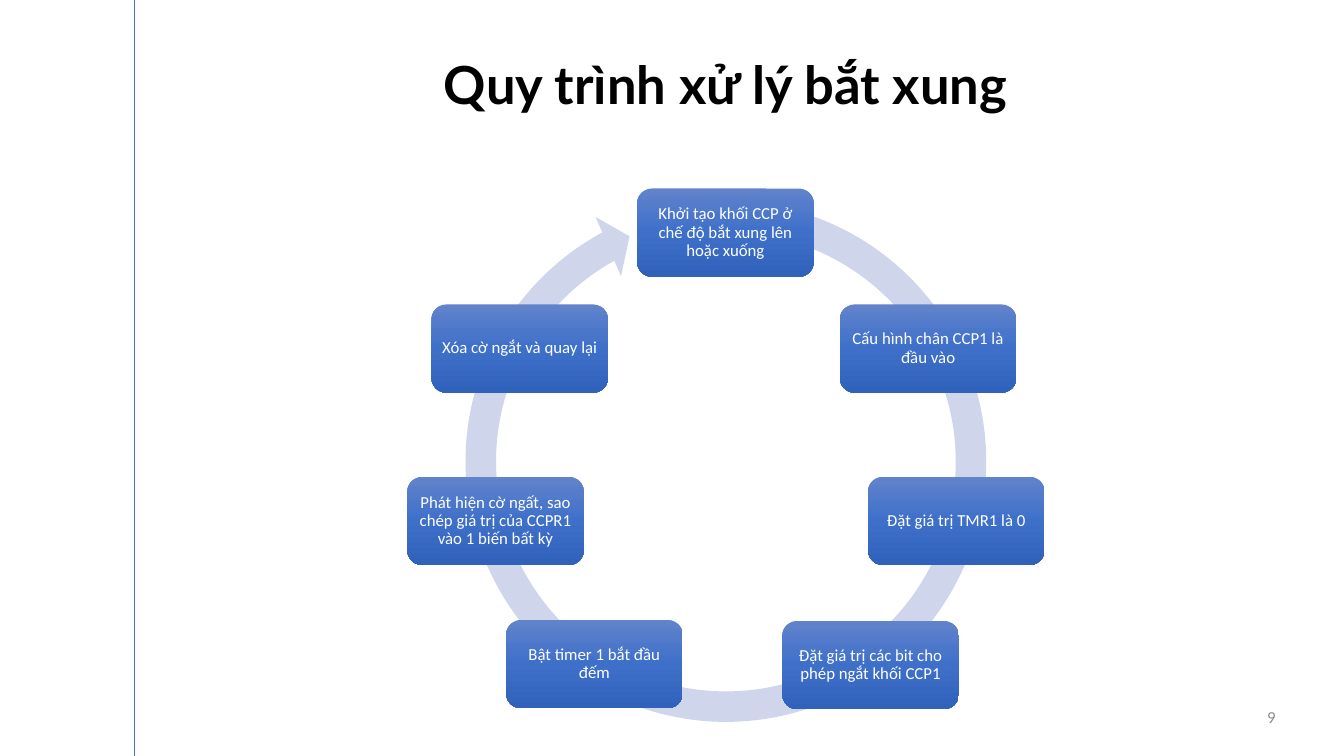
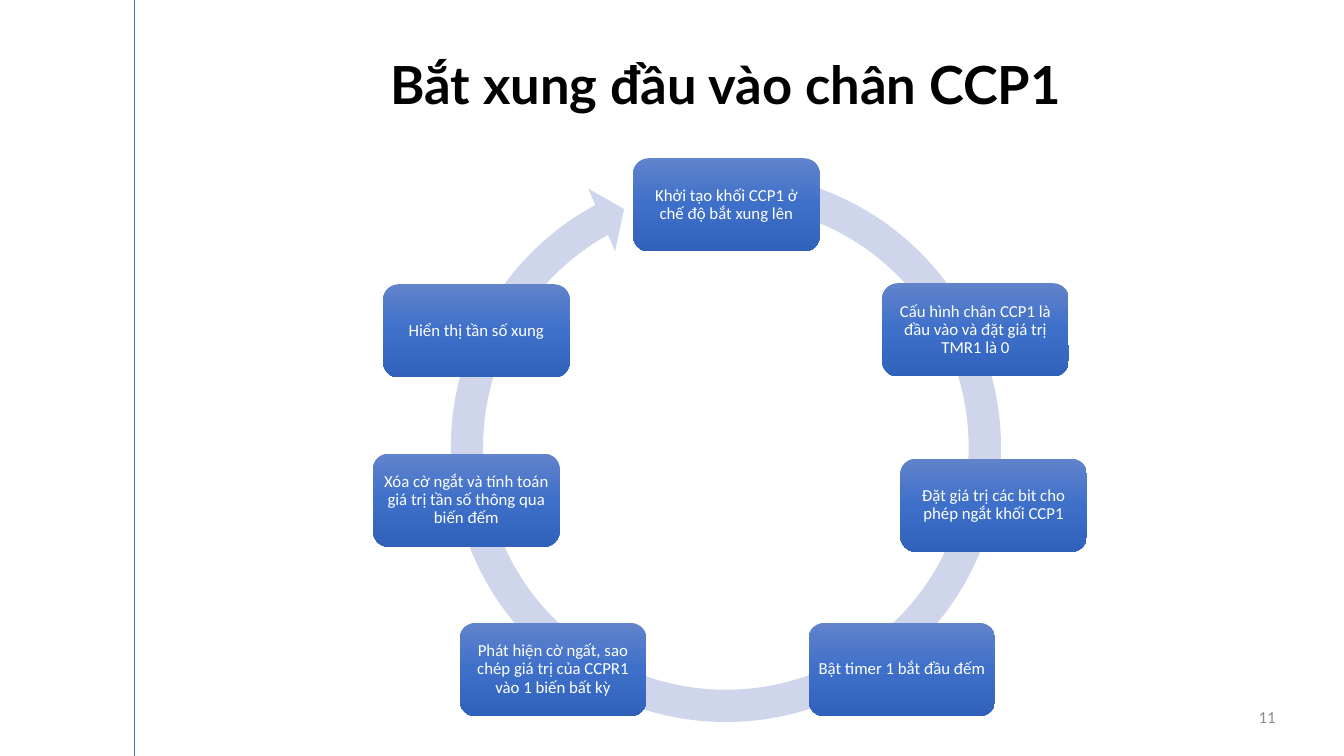
from copy import deepcopy
from pptx import Presentation
from pptx.dml.color import RGBColor
from pptx.enum.shapes import MSO_CONNECTOR, MSO_SHAPE
from pptx.enum.text import MSO_ANCHOR as ANCHOR, MSO_AUTO_SIZE, PP_ALIGN as ALIGN
from pptx.oxml.ns import qn
from pptx.util import Inches, Pt

# Shared style
BLACK, WHITE, GREY = "000000", "FFFFFF", "8C8C8C"
RULE, RING = "4472C4", "CFD5EA"
STEP_STOPS = [(0, "6183CB"), (0.5, "3E70CA"), (1, "3062BB")]
RING_ADJUST = [0.055, 3.31, 144.8, 169.7, 0.058]
RING_CENTER_X = 7.2

# One cycle per slide; each step is (left, top, text)
slides = [
    dict(title="Quy trình xử lý bắt xung", number="9",
         ring_top=1.83, ring_size=5.5, step_width=1.75, steps=[
             (6.32, 1.87, "Khởi tạo khối CCP ở chế độ bắt xung lên hoặc xuống"),
             (8.33, 3.02, "Cấu hình chân CCP1 là đầu vào"),
             (8.61, 4.73, "Đặt giá trị TMR1 là 0"),
             (7.76, 6.16, "Đặt giá trị các bit cho phép ngắt khối CCP1"),
             (5.02, 6.15, "Bật timer 1 bắt đầu đếm"),
             (4.04, 4.73, "Phát hiện cờ ngất, sao chép giá trị của CCPR1 vào 1 biến bất kỳ"),
             (4.28, 3.02, "Xóa cờ ngắt và quay lại")]),
    dict(title="Bắt xung đầu vào chân CCP1", number="11",
         ring_top=1.53, ring_size=5.81, step_width=1.85, steps=[
             (6.28, 1.57, "Khởi tạo khối CCP1 ở chế độ bắt xung lên"),
             (8.75, 2.81, "Cấu hình chân CCP1 là đầu vào và đặt giá trị TMR1 là 0"),
             (8.93, 4.55, "Đặt giá trị các bit cho phép ngắt khối CCP1"),
             (8.02, 6.18, "Bật timer 1 bắt đầu đếm"),
             (4.56, 6.18, "Phát hiện cờ ngất, sao chép giá trị của CCPR1 vào 1 biến bất kỳ"),
             (3.7, 4.5, "Xóa cờ ngắt và tính toán giá trị tần số thông qua biến đếm"),
             (3.8, 2.82, "Hiển thị tần số xung")]),
]


def rgb(color):
    return RGBColor.from_string(color)


def write(sp, text, size, color, align, anchor, font="Calibri", bold=False, spacing=1.0):
    tf = sp.text_frame
    tf.word_wrap = True
    tf.auto_size = MSO_AUTO_SIZE.NONE
    tf.vertical_anchor = anchor
    p = tf.paragraphs[0]
    p.alignment = align
    p.line_spacing = spacing
    r = p.add_run()
    r.text = text
    r.font.name, r.font.size, r.font.bold = font, Pt(size), bold
    r.font.color.rgb = rgb(color)


prs = Presentation()
prs.slide_width, prs.slide_height = Inches(13.33), Inches(7.5)

for cycle in slides:
    s = prs.slides.add_slide(prs.slide_layouts[5])

    # Vertical rule
    rule = s.shapes.add_connector(MSO_CONNECTOR.STRAIGHT, Inches(1.33), 0,
                                  Inches(1.33), prs.slide_height)
    rule.line.color.rgb = rgb(RULE)
    rule.line.width = Pt(0.5)
    rule._element.spPr.append(rule._element.makeelement(qn("a:effectLst"), {}))

    # Title and slide number
    title = s.shapes.title
    title.left, title.top = Inches(1.07), Inches(0.64)
    title.width, title.height = Inches(12.26), Inches(0.59)
    write(title, cycle["title"], 37.5, BLACK, ALIGN.CENTER, ANCHOR.TOP,
          font="Lato", bold=True, spacing=0.7)
    number = s.shapes.add_textbox(Inches(12.31), Inches(6.91), Inches(0.44), Inches(0.4))
    write(number, cycle["number"], 12, GREY, ALIGN.RIGHT, ANCHOR.MIDDLE)

    # Ring arrow
    size = cycle["ring_size"]
    ring = s.shapes.add_shape(MSO_SHAPE.CIRCULAR_ARROW, Inches(RING_CENTER_X - size / 2),
                              Inches(cycle["ring_top"]), Inches(size), Inches(size))
    for i, value in enumerate(RING_ADJUST):
        ring.adjustments[i] = value
    ring.shadow.inherit = False
    ring.fill.solid()
    ring.fill.fore_color.rgb = rgb(RING)
    ring.line.fill.background()

    # Steps, twice as wide as high
    width = cycle["step_width"]
    for left, top, text in cycle["steps"]:
        step = s.shapes.add_shape(MSO_SHAPE.ROUNDED_RECTANGLE, Inches(left), Inches(top),
                                  Inches(width), Inches(width / 2))
        step.shadow.inherit = False
        step.line.fill.background()
        step.fill.gradient()
        step.fill.gradient_angle = 270
        stop_list = step._element.spPr.find(".//" + qn("a:gsLst"))
        stop_list.append(deepcopy(stop_list[0]))
        for stop, (position, color) in zip(step.fill.gradient_stops, STEP_STOPS):
            stop.position = position
            stop.color.rgb = rgb(color)
        tf = step.text_frame
        tf.margin_left = tf.margin_right = tf.margin_top = tf.margin_bottom = Inches(0.05)
        write(step, text, 12, WHITE, ALIGN.CENTER, ANCHOR.MIDDLE, spacing=0.9)

prs.save("out.pptx")
